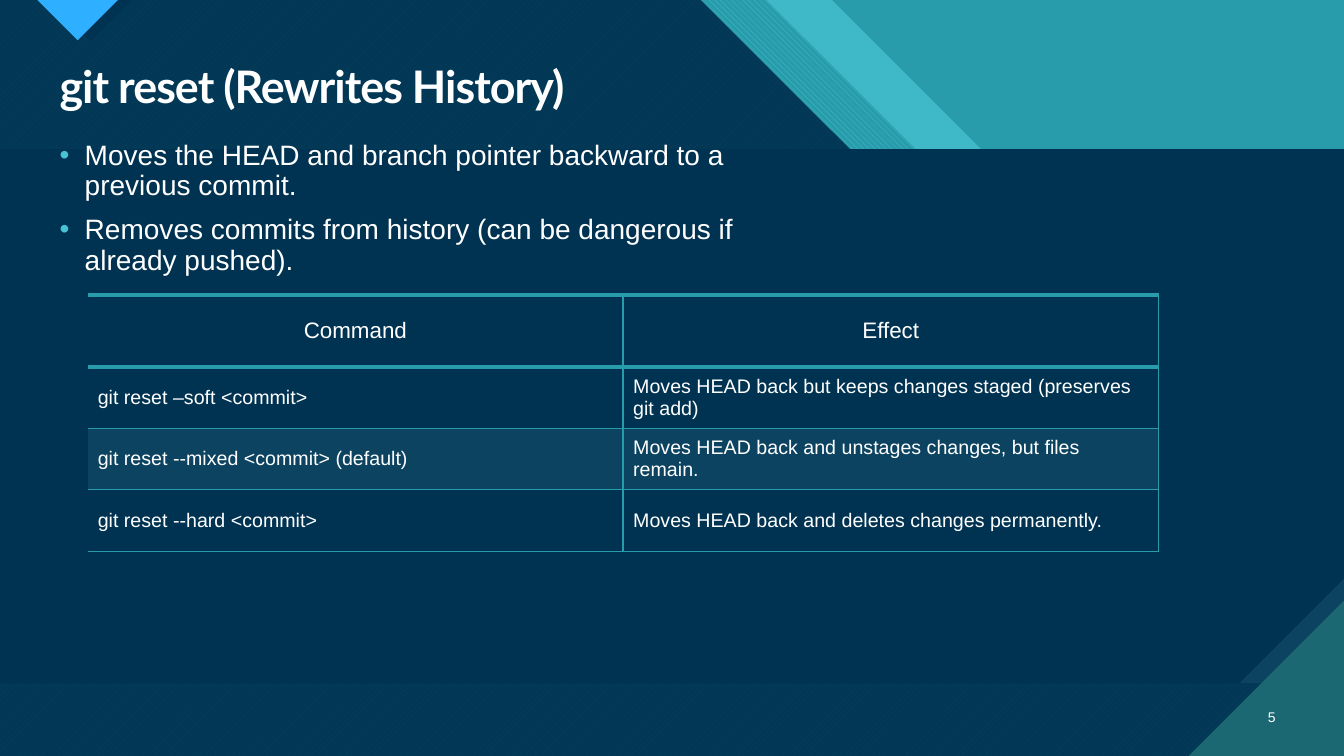
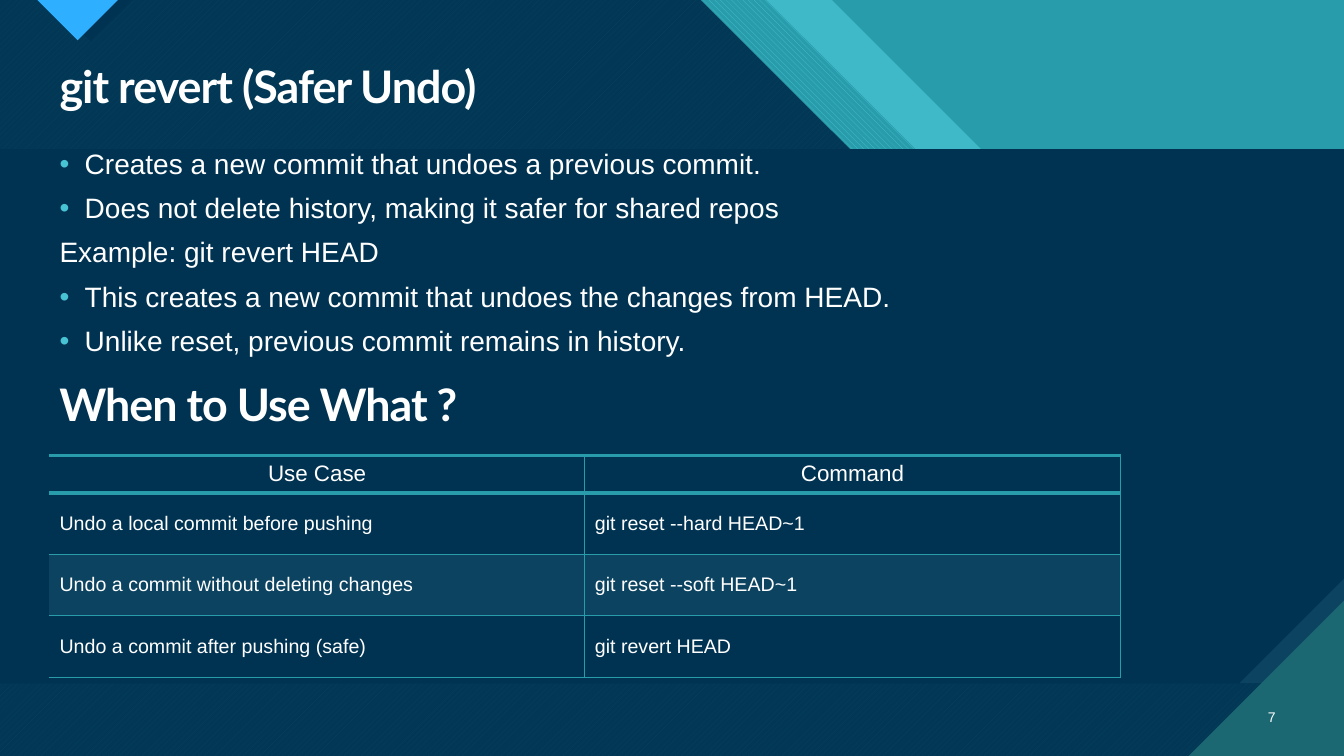
from lxml.etree import SubElement
from pptx import Presentation
from pptx.dml.color import RGBColor
from pptx.enum.dml import MSO_PATTERN as Pattern
from pptx.enum.text import MSO_ANCHOR as Anchor, MSO_AUTO_SIZE as AutoSize, PP_ALIGN as Align
from pptx.oxml.ns import qn
from pptx.util import Inches, Pt

WIDTH, HEIGHT = 13.33, 7.5
MARGIN = 0.49
TITLE_SIZE = (12.26, 0.59)
COLUMN_WIDTH, ROW_HEIGHT = 5.31, 0.61
COLORS = {
    "navy": "003352", "slate": "0C4360", "teal": "299CAB", "aqua": "47C3D3",
    "pine": "1B6872", "blue": "2FAFFF", "white": "FFFFFF",
}

# Content: body lines are (text, bulleted)
SLIDES = [
    {
        "title": "git reset (Rewrites History)",
        "number": "5",
        "body_box": (MARGIN, 1.35, 7.35, 2.01),
        "body": [
            ("Moves the HEAD and branch pointer backward to a previous commit.", True),
            ("Removes commits from history (can be dangerous if already pushed).", True),
        ],
        "table_at": (0.87, 2.93),
        "header_height": 0.71,
        "table": [
            ("Command", "Effect"),
            ("git reset –soft <commit>",
             "Moves HEAD back but keeps changes staged (preserves git add)"),
            ("git reset --mixed <commit> (default)",
             "Moves HEAD back and unstages changes, but files remain."),
            ("git reset --hard <commit>", "Moves HEAD back and deletes changes permanently."),
        ],
    },
    {
        "title": "git revert (Safer Undo)",
        "number": "7",
        "body_box": (MARGIN, 1.44, 11.82, 2.3),
        "body": [
            ("Creates a new commit that undoes a previous commit.", True),
            ("Does not delete history, making it safer for shared repos", True),
            ("Example: git revert HEAD", False),
            ("This creates a new commit that undoes the changes from HEAD.", True),
            ("Unlike reset, previous commit remains in history.", True),
        ],
        "subtitle": "When to Use What ?",
        "table_at": (MARGIN, 4.52),
        "header_height": 0.37,
        "table": [
            ("Use Case", "Command"),
            ("Undo a local commit before pushing", "git reset --hard HEAD~1"),
            ("Undo a commit without deleting changes", "git reset --soft HEAD~1"),
            ("Undo a commit after pushing (safe)", "git revert HEAD"),
        ],
    },
]


def rgb(name):
    return RGBColor.from_string(COLORS[name])


def box(*lengths):
    return [Inches(length) for length in lengths]


def place(shape, *lengths):
    shape.left, shape.top, shape.width, shape.height = box(*lengths)


def style(paragraph, size, font="Arial", bold=False):
    for run in paragraph.runs:
        run.font.size, run.font.name, run.font.bold = Pt(size), font, bold
        run.font.color.rgb = rgb("white")


# Shared background, kept on the layout
def diagonal_outline(top, step):
    """Area left of a diagonal edge that starts at top and steps right at 2.97."""
    bend = 2.97
    return [(0, 0), (top, 0), (top + bend, bend), (step, bend),
            (WIDTH, bend + WIDTH - step), (WIDTH, HEIGHT), (0, HEIGHT)]


def polygon(slide, points, color, alpha=None, pattern=None, back=None):
    grid = [(x * 100, y * 100) for x, y in points]
    builder = slide.shapes.build_freeform(*grid[0], scale=Inches(0.01))
    builder.add_line_segments(grid[1:], close=True)
    shape = builder.convert_to_shape()
    shape.shadow.inherit = False
    shape.line.fill.background()
    if pattern:
        shape.fill.patterned()
        shape.fill.pattern = pattern
        shape.fill.fore_color.rgb, shape.fill.back_color.rgb = rgb(color), rgb(back)
    else:
        shape.fill.solid()
        shape.fill.fore_color.rgb = rgb(color)
    if alpha:
        fill_color = shape.element.spPr.find(qn("a:solidFill"))[0]
        SubElement(fill_color, qn("a:alpha"), val=str(alpha * 1000))
    return shape


def decorate(layout, slide):
    layout.background.fill.solid()
    layout.background.fill.fore_color.rgb = rgb("teal")
    top, bottom, snip, corner = 1.48, 6.78, 1.04, 1.54
    left_area = diagonal_outline(6.95, 11.18)
    panel = [(0, top), (WIDTH, top), (WIDTH, bottom), (0, bottom)]
    snipped = [(0, top), (WIDTH, top), (WIDTH, bottom - snip),
               (WIDTH - snip, bottom), (0, bottom)]
    shapes = [
        polygon(slide, diagonal_outline(8.25, 12.34), "aqua", alpha=74),
        polygon(slide, diagonal_outline(7.6, 11.84), "aqua",
                pattern=Pattern.WIDE_DOWNWARD_DIAGONAL, back="teal"),
        polygon(slide, left_area, "aqua",
                pattern=Pattern.WIDE_UPWARD_DIAGONAL, back="pine"),
        polygon(slide, left_area, "navy", alpha=90),
        polygon(slide, [(0.48, 0), (1.31, 0), (0.9, 0.41)], "navy"),
        polygon(slide, [(0.37, 0), (1.17, 0), (0.77, 0.4)], "blue"),
        polygon(slide, panel, "slate"),
        polygon(slide, snipped, "navy"),
        polygon(slide, [(WIDTH - corner, HEIGHT), (WIDTH, HEIGHT),
                        (WIDTH, HEIGHT - corner)], "pine"),
    ]
    first_placeholder = layout.placeholders[0].element
    for shape in shapes:
        first_placeholder.addprevious(shape.element)
    place(layout.placeholders[0], MARGIN, 0.59, *TITLE_SIZE)


# Text
def write_heading(shape, text):
    frame = shape.text_frame
    frame.word_wrap, frame.auto_size = True, AutoSize.NONE
    frame.vertical_anchor = Anchor.TOP
    frame.text = text
    paragraph = frame.paragraphs[0]
    paragraph.alignment, paragraph.line_spacing = Align.LEFT, 0.9
    style(paragraph, 32, "Lato", True)
    paragraph.runs[0].font.element.set("spc", "-70") if hasattr(
        paragraph.runs[0].font, "element") else paragraph.runs[0]._r.rPr.set("spc", "-70")


def set_bullet(paragraph, bulleted):
    properties = paragraph._p.get_or_add_pPr()
    indent = Inches(0.25) if bulleted else 0
    properties.set("marL", str(indent))
    properties.set("indent", str(-indent))
    if bulleted:
        color = SubElement(properties, qn("a:buClr"))
        SubElement(color, qn("a:srgbClr"), val=COLORS["aqua"])
        SubElement(properties, qn("a:buFont"), typeface="Arial")
        SubElement(properties, qn("a:buChar"), char="•")
    else:
        SubElement(properties, qn("a:buNone"))


def write_body(shape, position, lines):
    place(shape, *position)
    frame = shape.text_frame
    frame.auto_size, frame.vertical_anchor = AutoSize.NONE, Anchor.TOP
    frame.text = "\n".join(text for text, _ in lines)
    for paragraph, (_, bulleted) in zip(frame.paragraphs, lines):
        paragraph.line_spacing, paragraph.space_before = 0.9, Pt(10)
        set_bullet(paragraph, bulleted)
        style(paragraph, 20)


def add_number(slide, number):
    frame = slide.shapes.add_textbox(*box(12.31, 6.91, 0.44, 0.4)).text_frame
    frame.word_wrap, frame.vertical_anchor = True, Anchor.MIDDLE
    frame.text = number
    frame.paragraphs[0].alignment = Align.RIGHT
    style(frame.paragraphs[0], 10)


# Table
def set_borders(cell, widths):
    properties = cell._tc.get_or_add_tcPr()
    for index, (side, width) in enumerate(widths.items()):
        line = SubElement(properties, qn(f"a:ln{side}"), w=str(Pt(width)))
        if width:
            fill = SubElement(line, qn("a:solidFill"))
            SubElement(fill, qn("a:srgbClr"), val=COLORS["teal"])
        else:
            SubElement(line, qn("a:noFill"))
        properties.insert(index, line)


def add_table(slide, position, header_height, rows):
    heights = [header_height] + [ROW_HEIGHT] * (len(rows) - 1)
    columns = len(rows[0])
    table = slide.shapes.add_table(
        len(rows), columns, *box(*position, COLUMN_WIDTH * columns, sum(heights))).table
    table.first_row = table.horz_banding = False
    for column in table.columns:
        column.width = Inches(COLUMN_WIDTH)
    for r, (texts, height) in enumerate(zip(rows, heights)):
        table.rows[r].height = Inches(height)
        for c, text in enumerate(texts):
            cell = table.cell(r, c)
            cell.text, cell.vertical_anchor = text, Anchor.MIDDLE
            paragraph = cell.text_frame.paragraphs[0]
            paragraph.alignment = Align.LEFT if r else Align.CENTER
            style(paragraph, 14 if r else 16)
            if r == 2:
                cell.fill.solid()
                cell.fill.fore_color.rgb = rgb("slate")
            else:
                cell.fill.background()
            set_borders(cell, {"L": 1 if c else 0, "R": 1,
                               "T": 3 if r < 2 else 1, "B": 1 if r else 3})


def main():
    presentation = Presentation()
    presentation.slide_width, presentation.slide_height = box(WIDTH, HEIGHT)
    layout = presentation.slide_layouts[1]
    for index, content in enumerate(SLIDES):
        slide = presentation.slides.add_slide(layout)
        if index == 0:
            decorate(layout, slide)
        write_heading(slide.shapes.title, content["title"])
        write_body(slide.placeholders[1], content["body_box"], content["body"])
        if "subtitle" in content:
            subtitle = slide.shapes.add_textbox(*box(MARGIN, 3.75, *TITLE_SIZE))
            write_heading(subtitle, content["subtitle"])
        add_table(slide, content["table_at"], content["header_height"], content["table"])
        add_number(slide, content["number"])
    presentation.save("out.pptx")


if __name__ == "__main__":
    main()
